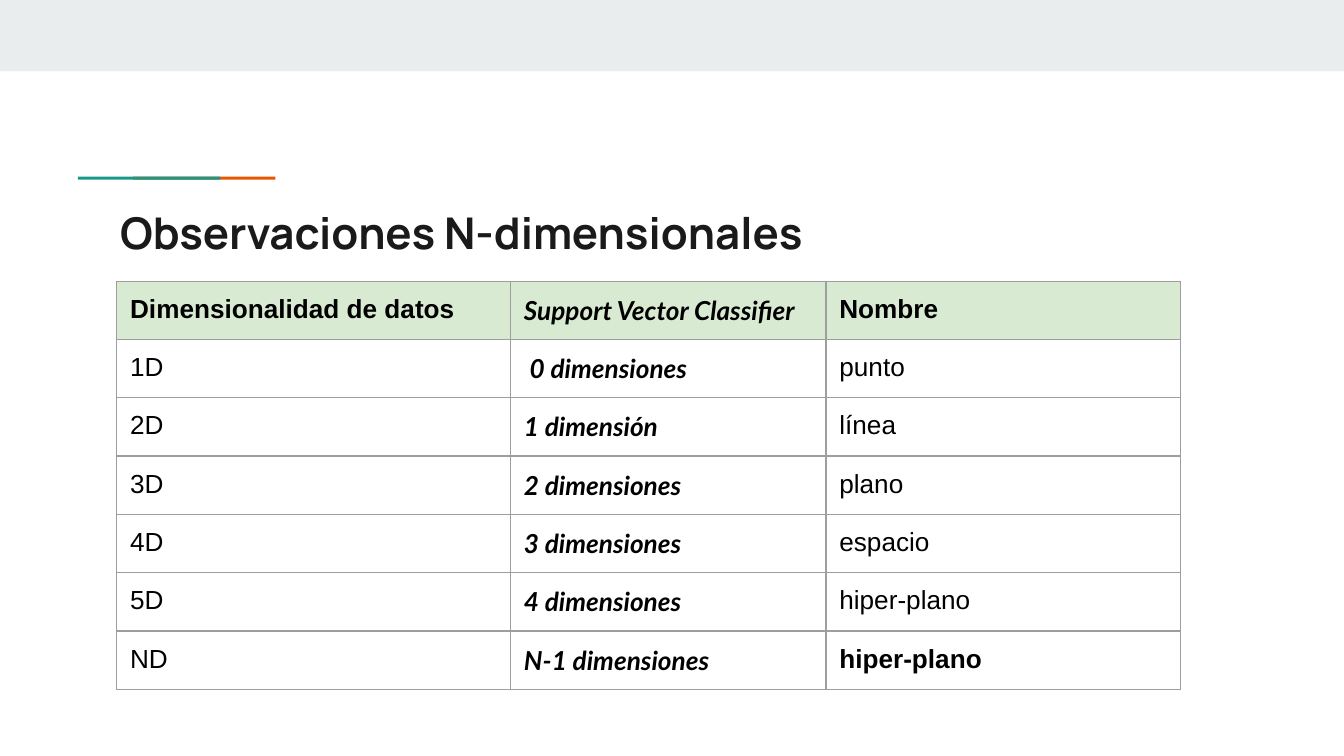
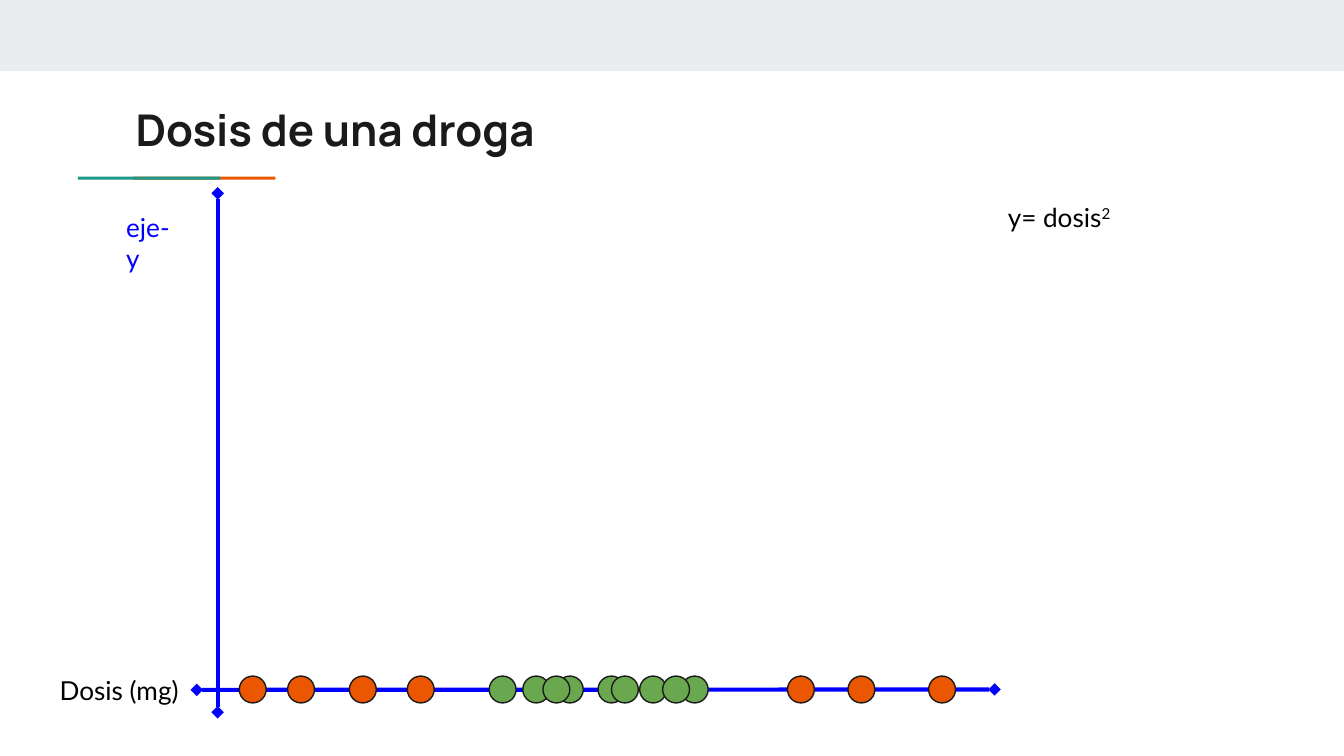
from dataclasses import dataclass

from lxml.etree import SubElement
from pptx import Presentation
from pptx.dml.color import RGBColor
from pptx.enum.shapes import MSO_CONNECTOR, MSO_SHAPE
from pptx.enum.text import MSO_ANCHOR, MSO_AUTO_SIZE
from pptx.oxml.ns import qn
from pptx.util import Pt


@dataclass(frozen=True)
class Theme:
    """Colours, fonts and sizes shared by the slides."""

    band: str = "E9EDEE"
    teal: str = "1A9988"
    orange: str = "EB5600"
    green: str = "6AA84F"
    blue: str = "0000FF"
    ink: str = "1A1A1A"
    black: str = "000000"
    header: str = "D9EAD3"
    border: str = "9E9E9E"
    title_font: str = "Manrope"
    label_font: str = "Lato"
    table_font: str = "Arial"
    title_size: float = 23.4
    body_size: float = 14
    thin: float = 0.75
    thick: float = 2.25
    inset: float = 7.2


@dataclass(frozen=True)
class Box:
    """A region measured in points."""

    left: float
    top: float
    width: float
    height: float

    def inner(self, left, top, width, height):
        """Return a region placed relative to this one."""
        return Box(self.left + left, self.top + top, width, height)

    def lengths(self):
        """Return left, top, width and height as lengths."""
        return [Pt(value) for value in (self.left, self.top, self.width, self.height)]


THEME = Theme()
PAGE = Box(0, 0, 720, 405)

DIMENSIONS = [
    ("Dimensionalidad de datos", "Support Vector Classifier", "Nombre"),
    ("1D", " 0 dimensiones", "punto"),
    ("2D", "1 dimensión", "línea"),
    ("3D", "2 dimensiones", "plano"),
    ("4D", "3 dimensiones", "espacio"),
    ("5D", "4 dimensiones", "hiper-plano"),
    ("ND", "N-1 dimensiones", "hiper-plano"),
]
COLUMN_WIDTHS = (211, 169, 190)

DOSES = [
    (THEME.orange, (22.4, 48.3, 81.4, 112.4, 391.7, 348.5, 316.1)),
    (THEME.green, (156.3, 174.3, 192.3, 214.6, 236.9, 221.8, 185.1, 259.2, 249.2)),
]
DOT_SIZE = 14.4


def write_text(para, text, font=THEME.label_font, size=THEME.body_size,
               color=THEME.black, bold=False, italic=False, raised=False):
    """Append formatted text to a paragraph."""
    span = para.add_run()
    span.text = text
    span.font.name = font
    span.font.size = Pt(size)
    span.font.color.rgb = RGBColor.from_string(color)
    span.font.bold = bold
    span.font.italic = italic
    if raised:
        span.font._element.set("baseline", "30000")


def add_text_box(page, box, text, anchor=MSO_ANCHOR.TOP, grow=True, **style):
    """Add a wrapped text box and return it."""
    text_box = page.shapes.add_textbox(*box.lengths())
    frame = text_box.text_frame
    frame.word_wrap = True
    frame.vertical_anchor = anchor
    frame.auto_size = MSO_AUTO_SIZE.SHAPE_TO_FIT_TEXT if grow else MSO_AUTO_SIZE.NONE
    frame.margin_left = frame.margin_right = Pt(THEME.inset)
    frame.margin_top = frame.margin_bottom = Pt(THEME.inset)
    write_text(frame.paragraphs[0], text, **style)
    return text_box


def add_filled(page, kind, box, fill, outline=None):
    """Add a flat preset shape with an optional thin outline."""
    shape = page.shapes.add_shape(kind, *box.lengths())
    shape.shadow.inherit = False
    shape.fill.solid()
    shape.fill.fore_color.rgb = RGBColor.from_string(fill)
    if outline:
        shape.line.color.rgb = RGBColor.from_string(outline)
        shape.line.width = Pt(THEME.thin)
    else:
        shape.line.fill.background()


def add_axis(page, start, end):
    """Add a blue line with a diamond at each end and return it."""
    axis = page.shapes.add_connector(
        MSO_CONNECTOR.STRAIGHT, *(Pt(value) for value in (*start, *end)))
    axis.line.color.rgb = RGBColor.from_string(THEME.blue)
    axis.line.width = Pt(THEME.thick)
    line = axis.line._get_or_add_ln()
    for tag in ("a:headEnd", "a:tailEnd"):
        SubElement(line, qn(tag), type="diamond")
    SubElement(axis._element.spPr, qn("a:effectLst"))
    return axis


def draw_frame(page, box):
    """Draw the top band and the two-colour accent rule."""
    add_filled(page, MSO_SHAPE.RECTANGLE, box.inner(0, 0, box.width, 38.2), THEME.band)
    for left, color in ((71.2, THEME.orange), (41.8, THEME.teal)):
        add_filled(page, MSO_SHAPE.RECTANGLE, box.inner(left, 94.7, 76.3, 1.6), color)


def draw_title(page, box, text):
    """Draw a slide title."""
    add_text_box(page, box, text, anchor=MSO_ANCHOR.MIDDLE, grow=False, bold=True,
                 font=THEME.title_font, size=THEME.title_size, color=THEME.ink)


def outline_cell(cell):
    """Give a table cell a thin border on all sides."""
    properties = cell._tc.get_or_add_tcPr()
    for index, side in enumerate(("a:lnL", "a:lnR", "a:lnT", "a:lnB")):
        line = SubElement(properties, qn(side), w=str(Pt(THEME.thin)))
        SubElement(SubElement(line, qn("a:solidFill")), qn("a:srgbClr"), val=THEME.border)
        properties.insert(index, line)


def draw_table(page, box, rows):
    """Draw the table of dimensions."""
    table = page.shapes.add_table(len(rows), len(COLUMN_WIDTHS), *box.lengths()).table
    table.first_row = table.horz_banding = False
    for column, width in zip(table.columns, COLUMN_WIDTHS):
        column.width = Pt(width)
    for row_index, texts in enumerate(rows):
        table.rows[row_index].height = Pt(box.height / len(rows))
        for column_index, text in enumerate(texts):
            cell = table.cell(row_index, column_index)
            cell.margin_left = cell.margin_right = Pt(THEME.inset)
            cell.margin_top = cell.margin_bottom = Pt(THEME.inset)
            classifier = column_index == 1
            last_name = row_index == len(rows) - 1 and column_index == 2
            write_text(cell.text_frame.paragraphs[0], text,
                       font=THEME.label_font if classifier else THEME.table_font,
                       bold=classifier or row_index == 0 or last_name,
                       italic=classifier)
            if row_index == 0:
                cell.fill.solid()
                cell.fill.fore_color.rgb = RGBColor.from_string(THEME.header)
            else:
                cell.fill.background()
            outline_cell(cell)


def draw_dose_plot(page, box):
    """Draw the dose axes, their labels and the dots."""
    baseline = box.top + 265.8
    dose_label = add_text_box(page, box.inner(-81, 250.4, 80.6, 31.2), "Dosis (mg)")
    dose_axis = add_axis(page, (box.left, baseline), (box.left + box.width, baseline))
    dose_axis.begin_connect(dose_label, 3)
    for color, offsets in DOSES:
        for offset in offsets:
            dot = box.inner(offset, 258.6, DOT_SIZE, DOT_SIZE)
            add_filled(page, MSO_SHAPE.OVAL, dot, color, outline=THEME.ink)
    vertical = box.left + 10.8
    add_axis(page, (vertical, box.top + box.height), (vertical, box.top))
    add_text_box(page, box.inner(-45.3, 2.2, 44.6, 31.2), "eje-y", color=THEME.blue)
    formula = add_text_box(page, box.inner(427, -2.9, 73.4, 31.2), "y= dosis")
    write_text(formula.text_frame.paragraphs[0], "2", raised=True)


def add_page(deck, title, title_box):
    """Add a blank slide with the shared frame and a title."""
    page = deck.slides.add_slide(deck.slide_layouts[6])
    draw_frame(page, PAGE)
    draw_title(page, title_box, title)
    return page


def main():
    """Build and save the deck."""
    deck = Presentation()
    deck.slide_width, deck.slide_height = Pt(PAGE.width), Pt(PAGE.height)
    page = add_page(deck, "Observaciones N-dimensionales", Box(57.3, 104, 605.5, 40.3))
    draw_table(page, Box(62.5, 150.6, sum(COLUMN_WIDTHS), 218.4), DIMENSIONS)
    page = add_page(deck, "Dosis de una droga", Box(65.5, 47.8, 605.5, 42.5))
    draw_dose_plot(page, Box(105.8, 103.6, 427, 278))
    deck.save("out.pptx")


if __name__ == "__main__":
    main()
